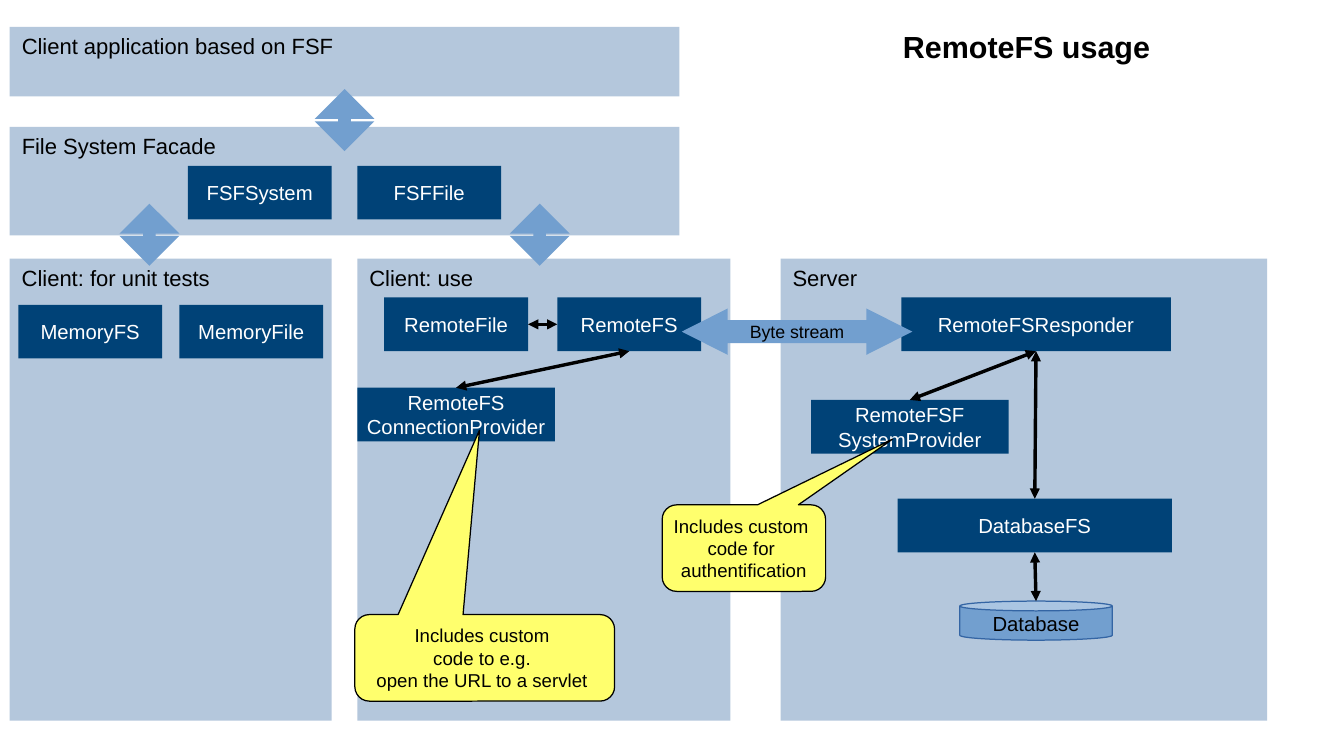
import dataclasses

import pptx
import pptx.dml.color
import pptx.enum.shapes
import pptx.enum.text
import pptx.oxml
import pptx.oxml.ns
import pptx.util

SHAPE = pptx.enum.shapes.MSO_SHAPE
ALIGN = pptx.enum.text.PP_ALIGN
ANCHOR = pptx.enum.text.MSO_ANCHOR
COLUMNS, ROWS = 1102, 620
CELL = pptx.util.Inches(0.01)
TOP, LEFT, BOTTOM, RIGHT = range(4)
BLOCK_WIDTH, BLOCK_HEIGHT = 118, 44
PROVIDER_WIDTH = 162


@dataclasses.dataclass(frozen=True)
class Theme:
    font: str = "Arial"
    black: str = "000000"
    white: str = "FFFFFF"
    panel: str = "B4C7DC"
    block: str = "004277"
    arrow: str = "729FCF"
    outline: str = "3465A4"
    callout: str = "FFFF6D"
    title_size: float = 18
    panel_size: float = 13
    block_size: float = 12
    callout_size: float = 11
    stream_size: float = 10.5


@dataclasses.dataclass(frozen=True)
class Box:
    """A rectangle in grid columns and rows."""
    left: float
    top: float
    width: float
    height: float

    def inner(self, left, top, width=BLOCK_WIDTH, height=BLOCK_HEIGHT):
        return Box(self.left + left, self.top + top, width, height)

    def lengths(self):
        return [round(value * CELL) for value in dataclasses.astuple(self)]


THEME = Theme()


def colour(value):
    return pptx.dml.color.RGBColor.from_string(value)


def set_values(target, values):
    for name, value in values.items():
        setattr(target, name, value)


def write(shape, text, size, ink, align=ALIGN.CENTER, anchor=ANCHOR.MIDDLE, wrap=False, bold=False):
    frame = shape.text_frame
    frame.text = text
    set_values(frame, {"word_wrap": wrap, "vertical_anchor": anchor})
    for paragraph in frame.paragraphs:
        paragraph.alignment = align
        set_values(paragraph.font, {"name": THEME.font, "size": pptx.util.Pt(size), "bold": bold})
        paragraph.font.color.rgb = colour(ink)


def draw(slide, kind, box, fill, outline=None, adjustments=()):
    shape = slide.shapes.add_shape(kind, *box.lengths())
    shape.shadow.inherit = False
    shape.fill.solid()
    shape.fill.fore_color.rgb = colour(fill)
    if outline:
        shape.line.color.rgb = colour(outline)
        shape.line.width = pptx.util.Pt(0)
    else:
        shape.line.fill.background()
    for index, value in enumerate(adjustments):
        shape.adjustments[index] = value
    return shape


def panel(slide, box, heading):
    shape = draw(slide, SHAPE.RECTANGLE, box, THEME.panel)
    write(shape, heading, THEME.panel_size, THEME.black, ALIGN.LEFT, ANCHOR.TOP, wrap=True)


def block(slide, box, label):
    shape = draw(slide, SHAPE.RECTANGLE, box, THEME.block)
    write(shape, label, THEME.block_size, THEME.white)
    return shape


def callout(slide, box, text, tip):
    shape = draw(slide, SHAPE.ROUNDED_RECTANGULAR_CALLOUT, box, THEME.callout, THEME.black, (*tip, 0.167))
    write(shape, text, THEME.callout_size, THEME.black)


def side_middle(shape, side):
    across = {LEFT: 0, RIGHT: shape.width}.get(side, shape.width // 2)
    down = {TOP: 0, BOTTOM: shape.height}.get(side, shape.height // 2)
    return shape.left + across, shape.top + down


def link(slide, start, start_side, finish, finish_side):
    """Join two parts with a two-headed hairline."""
    line = slide.shapes.add_connector(
        pptx.enum.shapes.MSO_CONNECTOR.STRAIGHT,
        *side_middle(start, start_side), *side_middle(finish, finish_side))
    line.begin_connect(start, start_side)
    if finish.auto_shape_type == SHAPE.RECTANGLE:
        line.end_connect(finish, finish_side)
    line.line.color.rgb = colour(THEME.black)
    line.line.width = pptx.util.Pt(0)
    properties = line._element.spPr
    stroke = properties.find(pptx.oxml.ns.qn("a:ln"))
    for end in ("headEnd", "tailEnd"):
        stroke.append(pptx.oxml.parse_xml(
            f'<a:{end} {pptx.oxml.ns.nsdecls("a")} type="triangle"/>'))
    properties.append(pptx.oxml.parse_xml(f'<a:effectLst {pptx.oxml.ns.nsdecls("a")}/>'))


def title(slide, box):
    shape = slide.shapes.add_textbox(*box.lengths())
    write(shape, "RemoteFS usage", THEME.title_size, THEME.black, ALIGN.RIGHT, wrap=True, bold=True)


def facade(slide, box):
    panel(slide, box, "File System Facade")
    for left, label in ((146, "FSFSystem"), (285, "FSFFile")):
        block(slide, box.inner(left, 32), label)


def unit_tests(slide, box):
    panel(slide, box, "Client: for unit tests")
    for left, label in ((7, "MemoryFS"), (139, "MemoryFile")):
        block(slide, box.inner(left, 38), label)


def client(slide, box):
    panel(slide, box, "Client: use")
    remote_file = block(slide, box.inner(22, 32), "RemoteFile")
    remote_fs = block(slide, box.inner(164, 32), "RemoteFS")
    provider = block(slide, box.inner(0, 106, PROVIDER_WIDTH), "RemoteFS\nConnectionProvider")
    link(slide, remote_file, RIGHT, remote_fs, LEFT)
    link(slide, remote_fs, BOTTOM, provider, TOP)


def server(slide, box):
    panel(slide, box, "Server")
    responder = block(slide, box.inner(99, 32, 221), "RemoteFSResponder")
    provider = block(slide, box.inner(25, 116, PROVIDER_WIDTH), "RemoteFSF\nSystemProvider")
    database_fs = block(slide, box.inner(96, 197, 225), "DatabaseFS")
    database = draw(slide, SHAPE.CAN, box.inner(147, 281, 125, 32), THEME.arrow, THEME.outline, (0.25,))
    write(database, "Database", THEME.block_size, THEME.black)
    link(slide, responder, BOTTOM, provider, TOP)
    link(slide, responder, BOTTOM, database_fs, TOP)
    link(slide, database_fs, BOTTOM, database, TOP)


def layer_arrows(slide, page):
    for left, top in ((258, 73), (98, 167), (418, 167)):
        draw(slide, SHAPE.UP_DOWN_ARROW, page.inner(left, top, 49, 51), THEME.arrow,
             adjustments=(0.5, 0.21))


def byte_stream(slide, box):
    shape = draw(slide, SHAPE.LEFT_RIGHT_ARROW, box, THEME.arrow, adjustments=(0.5, 0.99))
    write(shape, "Byte stream", THEME.stream_size, THEME.black)


def custom_code_notes(slide, page):
    callout(slide, page.inner(543, 414, 134, 71),
            "Includes custom \ncode for \nauthentification", (0.91, -1.26))
    callout(slide, page.inner(291, 504, 213, 71),
            "Includes custom \ncode to e.g. \nopen the URL to a servlet ", (-0.02, -2.63))


def main():
    deck = pptx.Presentation()
    set_values(deck, {"slide_width": COLUMNS * CELL, "slide_height": ROWS * CELL})
    slide = deck.slides.add_slide(deck.slide_layouts[6])
    page = Box(0, 0, COLUMNS, ROWS)
    title(slide, page.inner(717, 16, 236, 44))
    panel(slide, page.inner(8, 22, 549, 57), "Client application based on FSF")
    facade(slide, page.inner(8, 104, 549, 89))
    for region, left, width in ((unit_tests, 8, 264), (client, 293, 306), (server, 640, 399)):
        region(slide, page.inner(left, 212, width, 379))
    layer_arrows(slide, page)
    byte_stream(slide, page.inner(559, 253, 189, 38))
    custom_code_notes(slide, page)
    deck.save("out.pptx")


if __name__ == "__main__":
    main()
